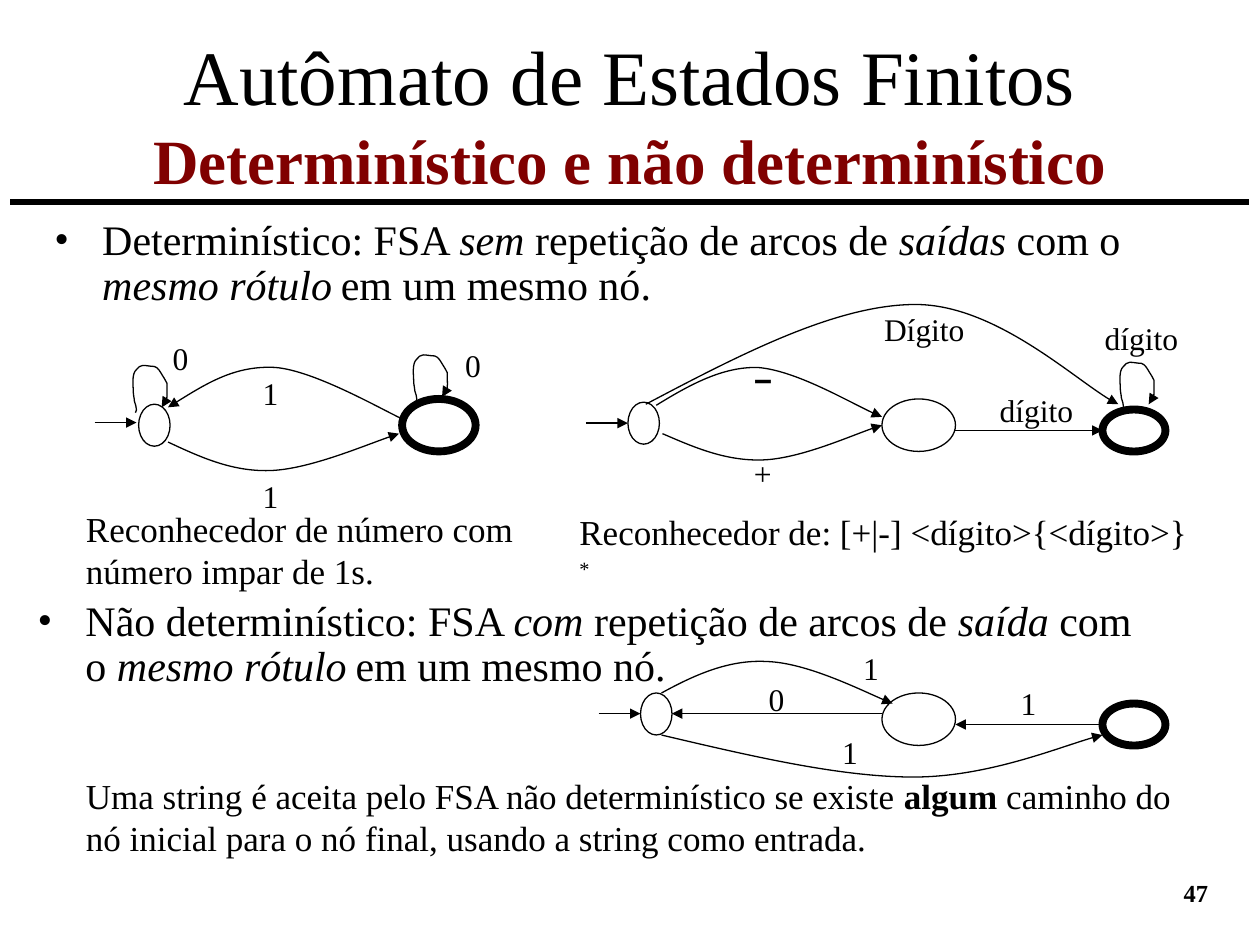
from dataclasses import dataclass
from pptx import Presentation as Deck
from pptx.dml.color import RGBColor as Rgb
from pptx.enum.shapes import MSO_CONNECTOR as Link, MSO_SHAPE as Form
from pptx.enum.text import MSO_ANCHOR as Anchor, MSO_AUTO_SIZE as Auto, PP_ALIGN as Align
from pptx.oxml.ns import qn
from pptx.util import Inches, Pt
from lxml.etree import SubElement as Sub

COLS, ROWS = 120, 90
CELL = Inches(10) // COLS


@dataclass(frozen=True)
class Theme:
    ink = Rgb(0, 0, 0)
    paper = Rgb(255, 255, 255)
    accent = Rgb(128, 0, 0)
    face = "Times New Roman"
    sans = "Arial"
    title = Pt(44)
    sub = Pt(36)
    body = Pt(24)
    note = Pt(20)
    label = Pt(18)
    foot = Pt(14)
    thin = Pt(0.75)
    rule = Pt(3)
    bold = Pt(4.5)


T = Theme()
ITAL = {"italic": True}
BOLD = {"bold": True}
SMALL = {"size": T.note}

LOOP = [
    (0, 0), (0.1, -0.1), (0.1, -0.1), (0.1, -0.25),
    (0.1, -0.5), (0, -0.8), (-0.1, -1.1),
    (-0.1, -1.3), (-0.2, -1.7), (-0.2, -1.9),
    (-0.2, -2.5), (-0.4, -3.7), (0.1, -4.1),
    (0.2, -4.4), (0.5, -4.4), (0.7, -4.5),
    (1.1, -4.5), (1.4, -4.4), (1.8, -4.4),
    (2.2, -4.3), (2.4, -3.8), (2.6, -3.5),
    (2.8, -3.2), (2.9, -3), (3, -2.8),
    (3, -2.6), (3, -2.3), (3, -2.3),
    (3, -1.8), (3.1, -1.2), (2.8, -0.8),
    (2.6, -0.6), (2.7, -0.6), (2.5, -0.5),
]
CURVES = [
    [(63, 66), (66.1, 64.3), (69.4, 62.8), (73, 63),
     (76.7, 63.1), (83, 66.2), (85, 67)],
    [(63, 70), (71.5, 72), (80, 74), (87, 74),
     (94, 74), (102, 70.7), (105, 70)],
    [(62.5, 38.6), (65.6, 36.7), (68.8, 34.9), (72.2, 35),
     (75.8, 35.3), (82.1, 39), (84, 39.7)],
    [(61.5, 38.5), (70.6, 33.7), (79.7, 29), (87.2, 29),
     (94.7, 29), (103.3, 37), (106.5, 38.5)],
    [(63.1, 41.3), (66.1, 42.6), (69.1, 43.9), (72.6, 43.8),
     (76.1, 43.7), (82.2, 41), (84, 40.5)],
    [(38.5, 40), (36.5, 39.1), (30, 35.3), (26.2, 35),
     (22.4, 34.8), (19.2, 36.8), (16, 38.8)],
    [(16, 42.1), (19.2, 43.6), (22.3, 45), (26, 44.8),
     (29.6, 44.6), (36, 41.9), (38, 41.3)],
]
LOOPS = [(106.9, 39), (39.6, 38.3), (12.9, 39.3)]
START, MID, END = (3, 4), (7, 5), (6, 4)
NODES = [
    (61, 66, START, T.thin), (84, 66, MID, T.thin), (105, 67, END, T.bold),
    (59.8, 38.3, START, T.thin), (84, 38, MID, T.thin), (105, 39, END, T.bold),
    (13.2, 38.5, START, T.thin), (38.3, 38, MID, T.bold),
]
ARROWS = [
    (57, 61, 67.97), (84, 64, 67.97), (105, 91, 69),
    (55.8, 59.8, 40.3), (91, 105, 41), (9, 13, 40.25),
]
LABELS = [
    ("1", 80.2, 69.8), ("1", 82.2, 61.8), ("0", 73.2, 64.8), ("1", 97.2, 65.1),
    ("+", 71.8, 43.2), ("dígito", 95.2, 37.2), ("Dígito", 84.2, 29.5),
    ("dígito", 105.2, 30.4), ("1", 25, 35.6), ("1", 25, 45.4),
    ("0", 44.3, 33), ("0", 16.45, 32.3),
]


def grid(*cells):
    return [round(c * CELL) for c in cells]


def put(item, **vals):
    for key, val in vals.items():
        setattr(item, key, val)


def ink(item, width, arrow=False):
    item.line.color.rgb = T.ink
    item.line.width = width
    if arrow:
        Sub(item.line._get_or_add_ln(), qn("a:tailEnd"), type="triangle")


def write(para, runs, size, color=T.ink):
    for text, form in runs:
        run = para.add_run()
        run.text = text
        form = {"name": T.face, "size": size, **form}
        run.font.color.rgb = color
        rise = form.pop("rise", None)
        put(run.font, **form)
        if rise:
            run._r.get_or_add_rPr().set("baseline", str(rise * 1000))


def box(slide, area, runs, size, wrap=True, inset=True, align=Align.LEFT):
    frame = slide.shapes.add_textbox(*grid(*area)).text_frame
    frame.word_wrap = wrap
    if not wrap:
        frame.auto_size = Auto.SHAPE_TO_FIT_TEXT
    if not inset:
        put(frame, margin_left=0, margin_right=0, margin_top=0, margin_bottom=0)
    para = frame.paragraphs[0]
    para.alignment = align
    write(para, runs, size)
    return frame


def point(slide, area, runs):
    para = box(slide, area, [], T.body).paragraphs[0]
    para.line_spacing = 0.9
    props = para._p.get_or_add_pPr()
    for key, val in {"marL": 0.38, "indent": -0.38}.items():
        props.set(key, str(Inches(val)))
    Sub(props, qn("a:buFont"), typeface=T.face)
    Sub(props, qn("a:buChar"), char="•")
    write(para, runs, T.body)


def line(slide, ends, width, arrow=False):
    item = slide.shapes.add_connector(Link.STRAIGHT, *grid(*ends))
    ink(item, width, arrow)
    Sub(item._element.spPr, qn("a:effectLst"))


def node(slide, x, y, size, width):
    item = slide.shapes.add_shape(Form.OVAL, *grid(x, y, *size))
    item.shadow.inherit = False
    item.fill.solid()
    item.fill.fore_color.rgb = T.paper
    ink(item, width)


def curve(slide, knots):
    knots = [grid(*k) for k in knots]
    pen = slide.shapes.build_freeform(*knots[0])
    pen.add_line_segments(knots[3::3], close=False)
    item = pen.convert_to_shape()
    for k, leg in enumerate(list(item._element.iter(qn("a:lnTo")))):
        leg.tag = qn("a:cubicBezTo")
        for spot, (x, y) in enumerate(knots[3 * k + 1:3 * k + 3]):
            dot = Sub(leg, qn("a:pt"), x=str(x - item.left), y=str(y - item.top))
            leg.insert(spot, dot)
    item.shadow.inherit = False
    item.fill.background()
    ink(item, T.thin, True)


def head(slide):
    line(slide, (1, 19.25, COLS - 1, 19.25), T.rule)
    frame = box(slide, (3, 3.25, 114, 15), [("Autômato de Estados Finitos", {})],
                T.title, align=Align.CENTER)
    frame.vertical_anchor = Anchor.MIDDLE
    para = frame.paragraphs[0]
    para.add_line_break()
    write(para, [("Determinístico e não determinístico", BOLD)], T.sub, T.accent)


def prose(slide):
    tail = [("mesmo rótulo", ITAL), (" ", SMALL), ("em um mesmo nó.", {})]
    for area, name, how, out in (
            ((4, 20.3, 111.4, 11.8), "Determinístico", "sem", "saídas"),
            ((2.4, 56.55, 109, 11), "Não determinístico", "com", "saída")):
        point(slide, area, [
            (f"{name}: FSA ", {}), (how, ITAL), (" repetição de arcos de ", {}),
            (out, ITAL), (" com o ", {}), *tail])
    box(slide, (54, 48, 61.2, 5.3), [
        ("Reconhecedor de: [+|-] <dígito>{<dígito>}", {}), ("*", {"rise": 30})],
        T.note, wrap=False)
    box(slide, (7, 47.7, 46, 9.2),
        [("Reconhecedor de número com número impar de 1s.", {})], T.note)
    box(slide, (7, 73.2, 107, 9.2), [
        ("Uma string é aceita pelo FSA não determinístico se existe ", {}),
        ("algum", BOLD),
        (" caminho do nó inicial para o nó final, usando a string como entrada.", {})],
        T.note)
    box(slide, (108, 83, 8.25, 6), [("47", BOLD)], T.foot, align=Align.RIGHT)


def graphs(slide):
    for spot in NODES:
        node(slide, *spot)
    for left, right, y in ARROWS:
        line(slide, (left, y, right, y), T.thin, True)
    for knots in CURVES:
        curve(slide, knots)
    for x, y in LOOPS:
        curve(slide, [(x + dx, y + dy) for dx, dy in LOOP])
    for text, x, y in LABELS:
        wide = {"dígito": 7, "Dígito": 7.7}.get(text, 1.5)
        box(slide, (x, y, wide, 3.6), [(text, {})], T.label, False, False)
    box(slide, (71.8, 34.4, 1.5, 3.6), [("−", {"name": T.sans, **BOLD})],
        T.label, False, False)


def main():
    deck = Deck()
    put(deck, slide_width=CELL * COLS, slide_height=CELL * ROWS)
    slide = deck.slides.add_slide(deck.slide_layouts[6])
    head(slide)
    prose(slide)
    graphs(slide)
    deck.save("out.pptx")


if __name__ == "__main__":
    main()
